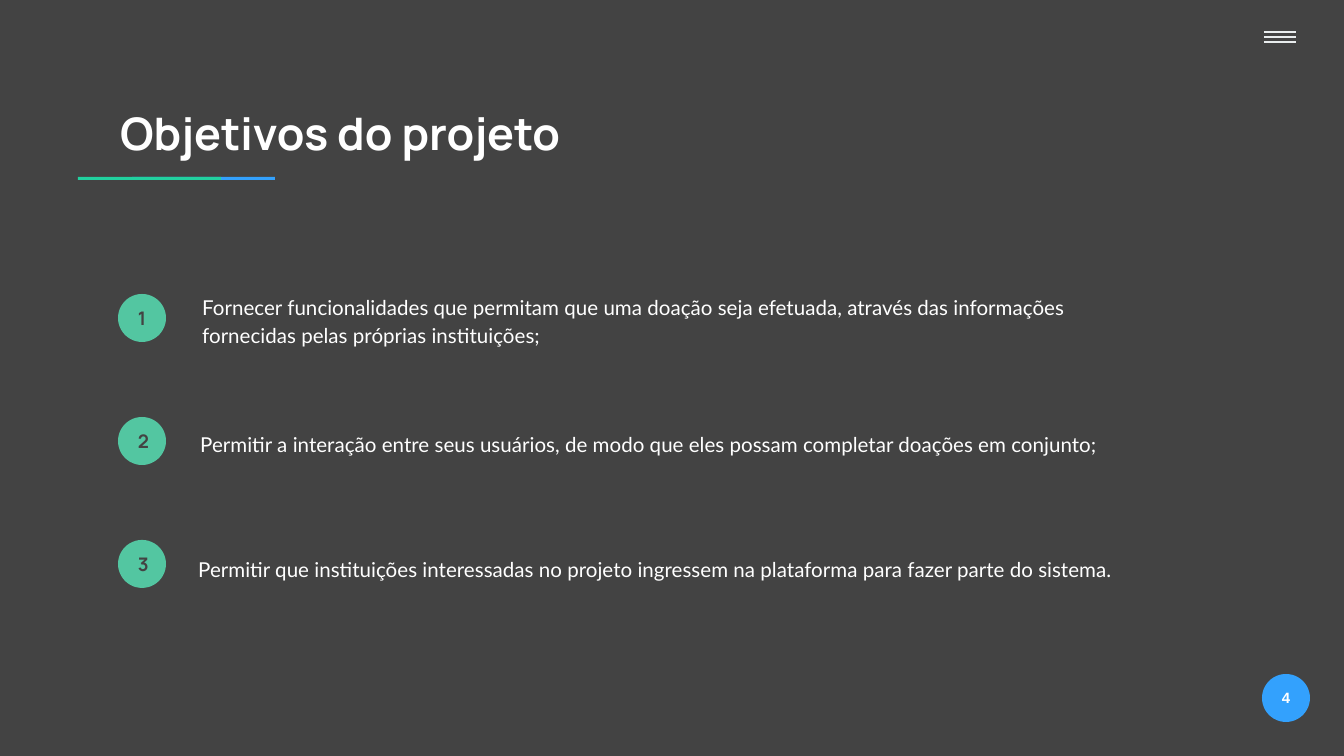
import pptx
import pptx.dml.color
import pptx.enum.shapes
import pptx.enum.text
import pptx.oxml.ns
import pptx.util
from lxml import etree

SCALE = 914400 / 134.4
INSET = 13
DOT = 48
COLORS = {
    "back": "434343",
    "blue": "33A1FD",
    "green": "21D19F",
    "mint": "53C6A1",
    "pale": "E9EDEE",
    "white": "FFFFFF",
}
# left, top, height and wording of each goal
GOALS = [
    (122, 278, 81, "Fornecer funcionalidades que permitam que uma doação seja efetuada, "
                   "através das informações fornecidas pelas próprias instituições;"),
    (120, 415, 52, "Permitir a interação entre seus usuários, de modo que eles possam "
                   "completar doações em conjunto;"),
    (118, 540, 81, "Permitir que instituições interessadas no projeto ingressem na "
                   "plataforma para fazer parte do sistema."),
]


def px(count):
    return pptx.util.Emu(round(count * SCALE))


def color(name):
    return pptx.dml.color.RGBColor.from_string(COLORS[name])


def write(frame, text, font, size, tint, bold=False):
    """Set the insets, fill the first paragraph with one run and return it."""
    frame.word_wrap = True
    frame.margin_left = frame.margin_right = px(INSET)
    frame.margin_top = frame.margin_bottom = px(INSET)
    para = frame.paragraphs[0]
    run = para.add_run()
    run.text = text
    run.font.name = font
    run.font.size = pptx.util.Pt(size)
    run.font.bold = bold
    run.font.color.rgb = color(tint)
    return para


def add_form(slide, kind, box, tint):
    shape = slide.shapes.add_shape(kind, *map(px, box))
    shape.shadow.inherit = False
    shape.fill.solid()
    shape.fill.fore_color.rgb = color(tint)
    shape.line.fill.background()
    return shape


def add_bar(slide, left, tint):
    kind = pptx.enum.shapes.MSO_SHAPE.RECTANGLE
    add_form(slide, kind, (left, 177, 143, 3), tint)


def add_dot(slide, left, top, fill, text, font, size, tint):
    kind = pptx.enum.shapes.MSO_SHAPE.OVAL
    dot = add_form(slide, kind, (left, top, DOT, DOT), fill)
    para = write(dot.text_frame, text, font, size, tint, True)
    para.alignment = pptx.enum.text.PP_ALIGN.CENTER
    dot.text_frame.vertical_anchor = pptx.enum.text.MSO_ANCHOR.MIDDLE


def add_rule(slide, top):
    kind = pptx.enum.shapes.MSO_CONNECTOR.STRAIGHT
    rule = slide.shapes.add_connector(kind, px(1264), px(top), px(1296), px(top))
    rule.line.color.rgb = color("pale")
    rule.line.width = pptx.util.Pt(0.75)
    etree.SubElement(rule._element.spPr, pptx.oxml.ns.qn("a:effectLst"))


def add_goal(slide, left, top, height, text):
    box = slide.shapes.add_textbox(px(left), px(top), px(1051), px(height))
    para = write(box.text_frame, text, "Lato", 11, "white")
    box.text_frame.auto_size = pptx.enum.text.MSO_AUTO_SIZE.SHAPE_TO_FIT_TEXT
    para.line_spacing = 1.15
    para.space_after = pptx.util.Pt(16)
    props = para._p.get_or_add_pPr()
    props.set("marL", str(pptx.util.Inches(0.5)))
    props.set("indent", "0")


def set_title(slide, text):
    title = slide.shapes.title
    title.left, title.top, title.width, title.height = map(px, (107, 93, 1130, 79))
    frame = title.text_frame
    para = write(frame, text, "Manrope", 24, "white", True)
    para.alignment = pptx.enum.text.PP_ALIGN.LEFT
    frame.vertical_anchor = pptx.enum.text.MSO_ANCHOR.TOP
    frame.auto_size = pptx.enum.text.MSO_AUTO_SIZE.NONE


def main():
    deck = pptx.Presentation()
    deck.slide_width, deck.slide_height = px(1344), px(756)
    slide = deck.slides.add_slide(deck.slide_layouts[5])
    slide.background.fill.solid()
    slide.background.fill.fore_color.rgb = color("back")

    add_bar(slide, 132, "blue")
    add_bar(slide, 78, "green")
    for top in (32, 37, 42):
        add_rule(slide, top)
    add_dot(slide, 1262, 674, "blue", "4", "Arial", 8, "white")
    set_title(slide, "Objetivos do projeto")
    for step in range(len(GOALS)):
        add_dot(slide, 118, 294 + 123 * step, "mint", str(step + 1), "Manrope", 10, "back")
    for goal in GOALS:
        add_goal(slide, *goal)

    deck.save("out.pptx")


if __name__ == "__main__":
    main()
